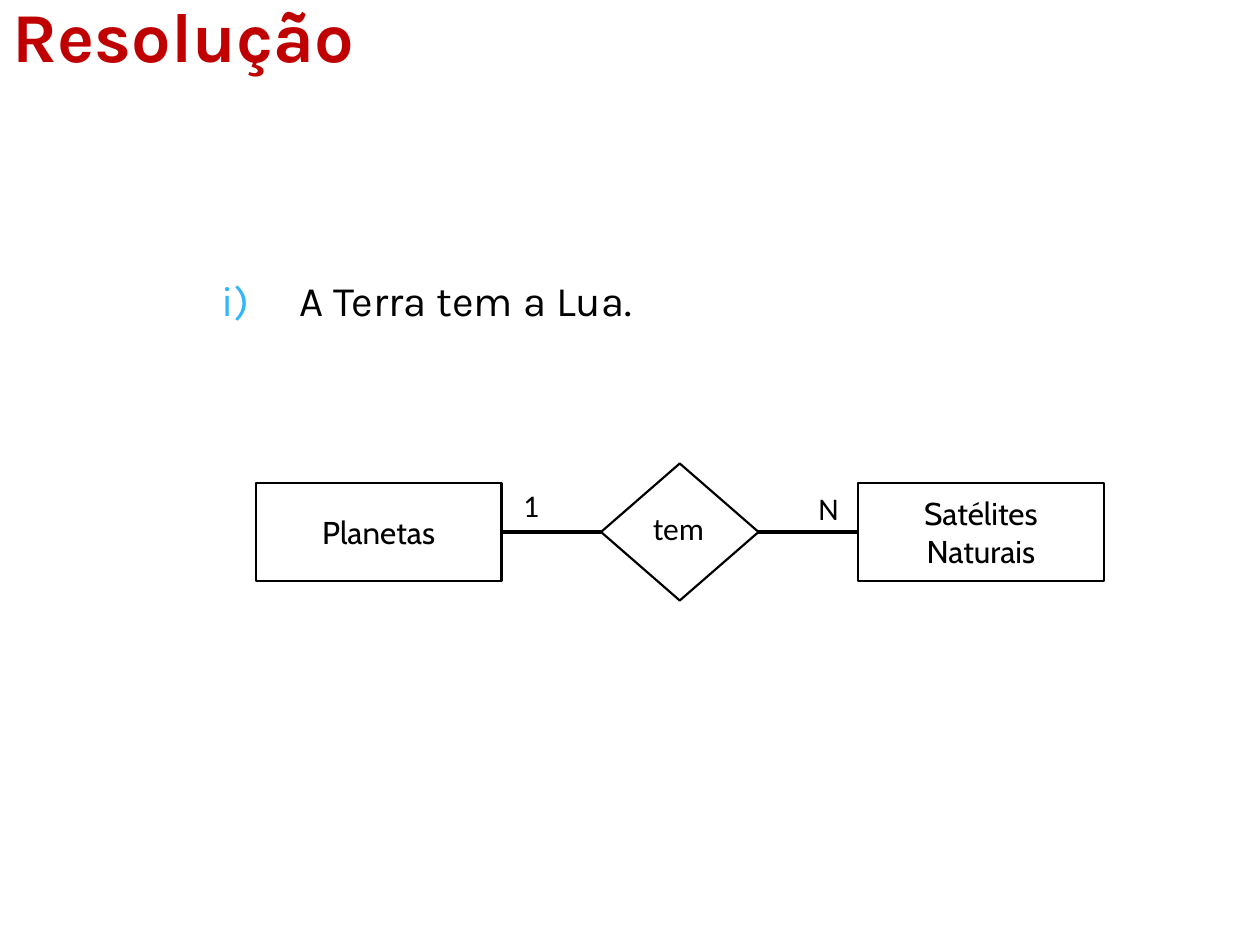
import pptx
import pptx.dml.color
import pptx.enum.shapes
import pptx.enum.text
import pptx.oxml
import pptx.oxml.ns
import pptx.util

COLORS = {"title": "C00000", "text": "000000", "paper": "FFFFFF", "bullet": "31B6FD"}
WIDTH = pptx.util.Inches(10)
HEIGHT = pptx.util.Inches(7.5)

ENTITY_WIDTH, ENTITY_HEIGHT = 0.195, 0.104
DIAMOND_WIDTH, DIAMOND_HEIGHT = 0.125, 0.145
LINK_WIDTH = 0.079
LABEL_WIDTH, LABEL_HEIGHT = 0.047, 0.053
DIAGRAM_LEFT, DIAGRAM_MIDDLE = 0.203, 0.563


def rgb(name):
    return pptx.dml.color.RGBColor.from_string(COLORS[name])


def place(left, top, width, height):
    return [round(left * WIDTH), round(top * HEIGHT),
            round(width * WIDTH), round(height * HEIGHT)]


def write(paragraph, text, size, font, color="text", bold=False):
    run = paragraph.add_run()
    run.text = text
    run.font.size = pptx.util.Pt(size)
    run.font.name = font
    run.font.bold = bold
    run.font.color.rgb = rgb(color)


def write_centered(shape, text, font):
    shape.text_frame.word_wrap = True
    paragraph = shape.text_frame.paragraphs[0]
    paragraph.alignment = pptx.enum.text.PP_ALIGN.CENTER
    write(paragraph, text, 18, font)


def add_title(slide, text):
    title = slide.shapes.title
    title.left, title.top, title.width, title.height = place(0, 0, 0.9, 0.09)
    frame = title.text_frame
    frame.auto_size = pptx.enum.text.MSO_AUTO_SIZE.NONE
    frame.vertical_anchor = pptx.enum.text.MSO_ANCHOR.MIDDLE
    paragraph = frame.paragraphs[0]
    paragraph.alignment = pptx.enum.text.PP_ALIGN.LEFT
    paragraph.line_spacing = 0.8
    write(paragraph, text, 40, "Karla", "title", True)


def add_lettered_item(slide, text, number):
    box = slide.shapes.add_textbox(*place(0.157, 0.284, 0.82, 0.123))
    box.text_frame.word_wrap = True
    paragraph = box.text_frame.paragraphs[0]
    properties = paragraph._p.get_or_add_pPr()
    properties.set("marL", str(pptx.util.Inches(0.71)))
    properties.set("indent", str(pptx.util.Inches(-0.62)))
    namespace = pptx.oxml.ns.nsdecls("a")
    for element in (
        f'<a:buClr {namespace}><a:srgbClr val="{COLORS["bullet"]}"/></a:buClr>',
        f'<a:buAutoNum {namespace} type="alphaLcParenR" startAt="{number}"/>',
    ):
        properties.append(pptx.oxml.parse_xml(element))
    write(paragraph, text, 24, "Karla")


def add_outlined_shape(group, kind, left, width, height):
    top = DIAGRAM_MIDDLE - height / 2
    shape = group.shapes.add_shape(kind, *place(left, top, width, height))
    shape.shadow.inherit = False
    shape.line.color.rgb = rgb("text")
    shape.line.width = pptx.util.Pt(1.25)
    return shape


def add_entity(group, left, text):
    kind = pptx.enum.shapes.MSO_SHAPE.RECTANGLE
    shape = add_outlined_shape(group, kind, left, ENTITY_WIDTH, ENTITY_HEIGHT)
    shape.fill.solid()
    shape.fill.fore_color.rgb = rgb("paper")
    shape.text_frame.vertical_anchor = pptx.enum.text.MSO_ANCHOR.MIDDLE
    write_centered(shape, text, "Cabin")


def add_label(group, left, top, width, text):
    box = group.shapes.add_textbox(*place(left, top, width, LABEL_HEIGHT))
    write_centered(box, text, "Calibri")


def add_relationship(group, left, text):
    kind = pptx.enum.shapes.MSO_SHAPE.DIAMOND
    shape = add_outlined_shape(group, kind, left, DIAMOND_WIDTH, DIAMOND_HEIGHT)
    shape.fill.background()
    add_label(group, left + 0.007, 0.532, 0.109, text)


def add_link(group, left):
    start_x, y, length, _ = place(left, DIAGRAM_MIDDLE, LINK_WIDTH, 0)
    connector = group.shapes.add_connector(
        pptx.enum.shapes.MSO_CONNECTOR.STRAIGHT, start_x, y, start_x + length, y)
    connector.line.color.rgb = rgb("text")
    connector.line.width = pptx.util.Pt(2.25)
    effects = f'<a:effectLst {pptx.oxml.ns.nsdecls("a")}/>'
    connector._element.spPr.append(pptx.oxml.parse_xml(effects))


def add_diagram(slide):
    group = slide.shapes.add_group_shape()
    first_link = DIAGRAM_LEFT + ENTITY_WIDTH
    diamond = first_link + LINK_WIDTH
    second_link = diamond + DIAMOND_WIDTH
    second_entity = second_link + LINK_WIDTH
    add_entity(group, DIAGRAM_LEFT, "Planetas")
    add_entity(group, second_entity, "Satélites Naturais")
    add_relationship(group, diamond, "tem")
    add_link(group, first_link)
    add_link(group, second_link)
    add_label(group, first_link, 0.508, LABEL_WIDTH, "1")
    add_label(group, second_entity - LABEL_WIDTH, 0.511, LABEL_WIDTH, "N")


def main():
    presentation = pptx.Presentation()
    presentation.slide_width = WIDTH
    presentation.slide_height = HEIGHT
    slide = presentation.slides.add_slide(presentation.slide_layouts[5])
    add_lettered_item(slide, "A Terra tem a Lua.", 9)
    add_diagram(slide)
    add_title(slide, "Resolução")
    presentation.save("out.pptx")


if __name__ == "__main__":
    main()
